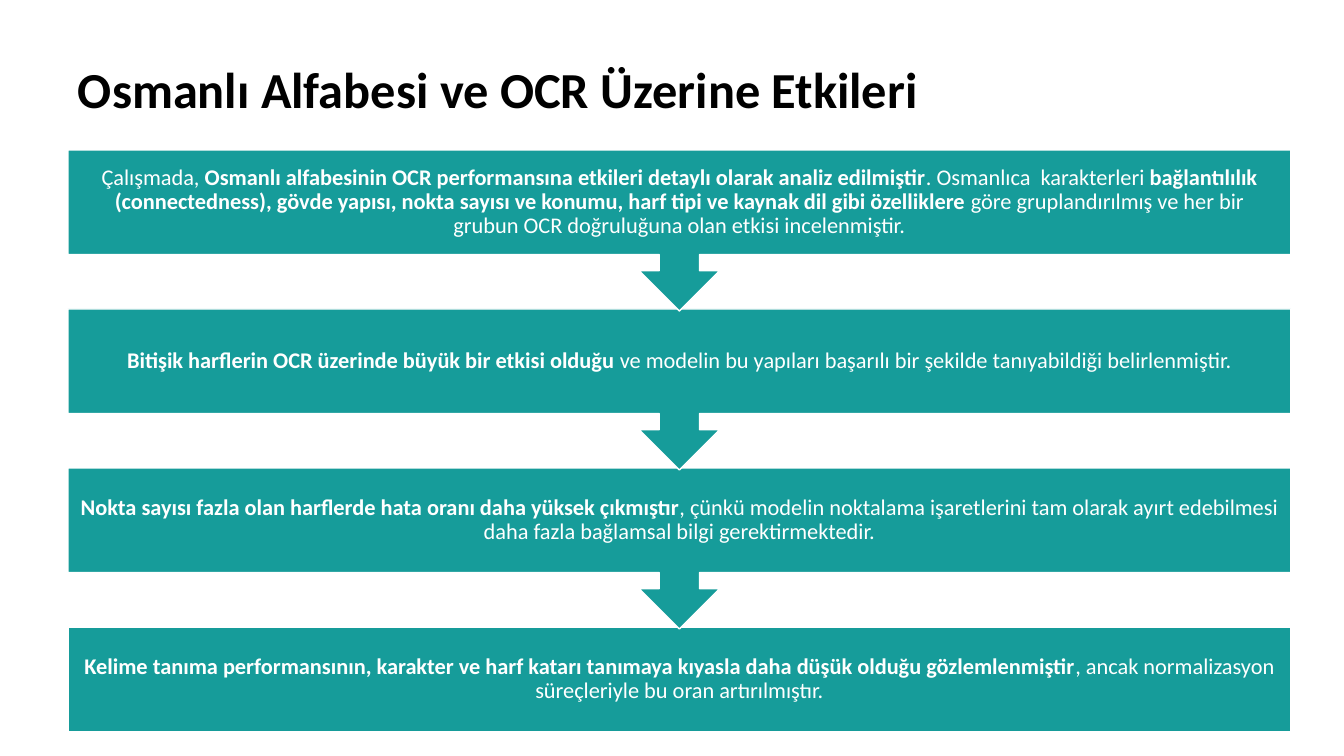
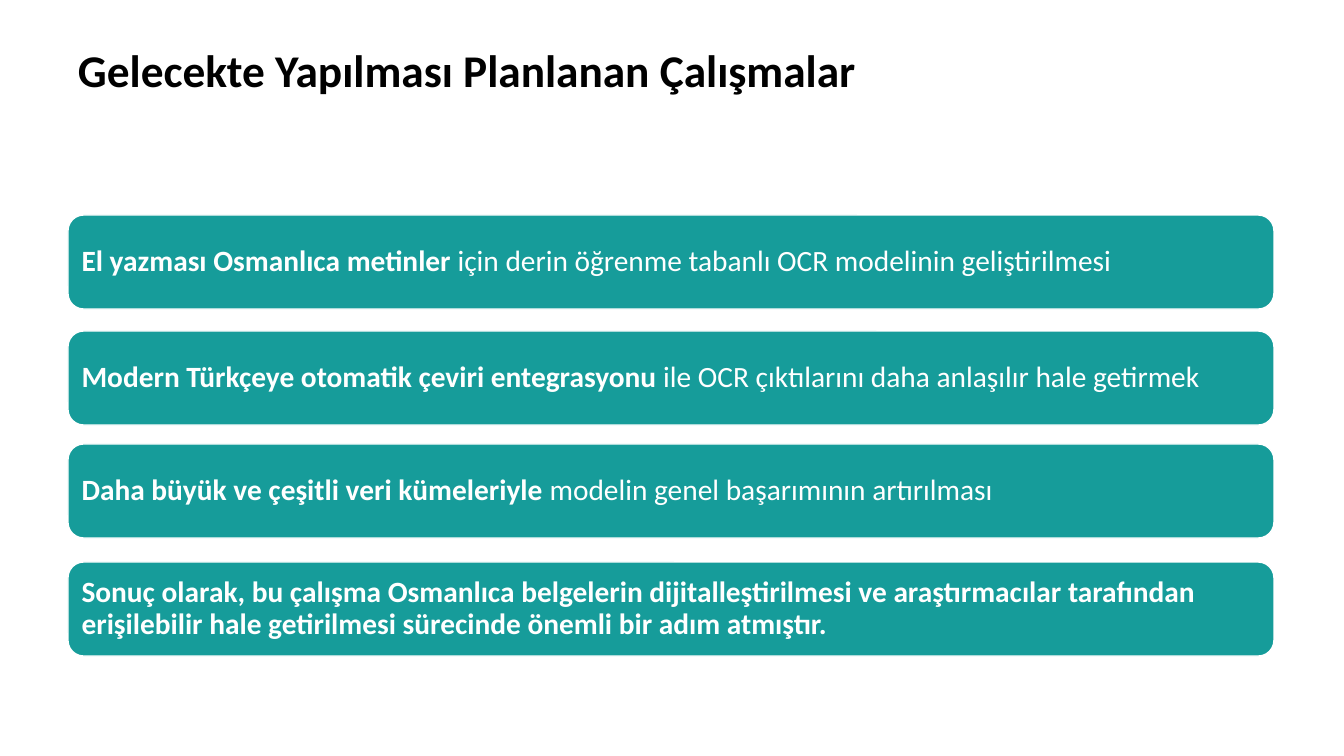
from dataclasses import dataclass
from typing import Any, NamedTuple

from pptx import Presentation
from pptx.dml.color import RGBColor
from pptx.enum.shapes import MSO_SHAPE
from pptx.enum.text import MSO_ANCHOR, PP_ALIGN
from pptx.slide import Slide
from pptx.text.text import TextFrame
from pptx.util import Emu, Pt

SCALE = 914400 / 100.8
TEAL = RGBColor(0x16, 0x9C, 0x9A)
WHITE = RGBColor(0xFF, 0xFF, 0xFF)
BLACK = RGBColor(0x00, 0x00, 0x00)
FACE = "Calibri"
LEFT = 68


class Run(NamedTuple):
    text: str
    bold: bool = False


@dataclass(frozen=True)
class Style:
    size: float
    color: RGBColor
    align: PP_ALIGN
    anchor: MSO_ANCHOR
    pad_x: int
    pad_y: int


@dataclass(frozen=True)
class Card:
    kind: MSO_SHAPE
    top: int
    width: int
    height: int
    style: Style
    runs: list[Run]


STEP = Style(16, WHITE, PP_ALIGN.CENTER, MSO_ANCHOR.MIDDLE, 12, 12)
PLAN = Style(21, WHITE, PP_ALIGN.LEFT, MSO_ANCHOR.MIDDLE, 9, 9)

STEPS = [
    [
        Run("Çalışmada, "),
        Run("Osmanlı alfabesinin OCR performansına etkileri detaylı olarak "
            "analiz edilmiştir", True),
        Run(". Osmanlıca  karakterleri "),
        Run("bağlantılılık (connectedness), gövde yapısı, nokta sayısı ve konumu, "
            "harf tipi ve kaynak dil gibi özelliklere", True),
        Run(" göre gruplandırılmış ve her bir grubun OCR doğruluğuna olan etkisi "
            "incelenmiştir."),
    ],
    [
        Run("Bitişik harflerin OCR üzerinde büyük bir etkisi olduğu", True),
        Run(" ve modelin bu yapıları başarılı bir şekilde tanıyabildiği "
            "belirlenmiştir."),
    ],
    [
        Run("Nokta sayısı fazla olan harflerde hata oranı daha yüksek çıkmıştır", True),
        Run(", çünkü modelin noktalama işaretlerini tam olarak ayırt edebilmesi "
            "daha fazla bağlamsal bilgi gerektirmektedir."),
    ],
    [
        Run("Kelime tanıma performansının, karakter ve harf katarı tanımaya kıyasla "
            "daha düşük olduğu gözlemlenmiştir", True),
        Run(", ancak normalizasyon süreçleriyle bu oran artırılmıştır."),
    ],
]

PLANS = {
    215: [
        Run("El yazması Osmanlıca metinler", True),
        Run(" için derin öğrenme tabanlı OCR modelinin geliştirilmesi"),
    ],
    331: [
        Run("Modern Türkçeye otomatik çeviri entegrasyonu", True),
        Run(" ile OCR çıktılarını daha anlaşılır hale getirmek"),
    ],
    444: [
        Run("Daha büyük ve çeşitli veri kümeleriyle", True),
        Run(" modelin genel başarımının artırılması"),
    ],
    562: [
        Run("Sonuç olarak, bu çalışma Osmanlıca belgelerin dijitalleştirilmesi ve "
            "araştırmacılar tarafından erişilebilir hale getirilmesi sürecinde "
            "önemli bir adım atmıştır.", True),
    ],
}


def px(count: int) -> Emu:
    return Emu(round(count * SCALE))


def apply(target: Any, values: dict[str, Any]) -> None:
    """Set each named attribute on the target."""
    for name, value in values.items():
        setattr(target, name, value)


def write(frame: TextFrame, style: Style, runs: list[Run]) -> None:
    apply(frame, {
        "word_wrap": True,
        "vertical_anchor": style.anchor,
        "margin_left": px(style.pad_x),
        "margin_right": px(style.pad_x),
        "margin_top": px(style.pad_y),
        "margin_bottom": px(style.pad_y),
    })
    para = frame.paragraphs[0]
    apply(para, {"alignment": style.align, "line_spacing": 0.9})
    for text, bold in runs:
        run = para.add_run()
        run.text = text
        apply(run.font, {"name": FACE, "size": Pt(style.size), "bold": bold})
        run.font.color.rgb = style.color


def add_title(slide: Slide, text: str, top: int, height: int, size: float) -> None:
    box = slide.shapes.add_textbox(px(LEFT), px(top), px(1174), px(height))
    style = Style(size, BLACK, PP_ALIGN.LEFT, MSO_ANCHOR.TOP, 10, 5)
    write(box.text_frame, style, [Run(text, True)])


def add_card(slide: Slide, card: Card) -> None:
    shape = slide.shapes.add_shape(
        card.kind, px(LEFT), px(card.top), px(card.width), px(card.height))
    shape.shadow.inherit = False
    shape.fill.solid()
    shape.fill.fore_color.rgb = TEAL
    shape.line.color.rgb = WHITE
    shape.line.width = Pt(1)
    write(shape.text_frame, card.style, card.runs)


def add_steps(slide: Slide) -> None:
    """Stack the steps from the bottom up, so each arrow tip overlaps the next."""
    last = len(STEPS) - 1
    for row in range(last, -1, -1):
        if row == last:
            kind, height = MSO_SHAPE.RECTANGLE, 105
        else:
            kind, height = MSO_SHAPE.DOWN_ARROW_CALLOUT, 161
        add_card(slide, Card(kind, 150 + 159 * row, 1223, height, STEP, STEPS[row]))


def add_plans(slide: Slide) -> None:
    for top, runs in PLANS.items():
        add_card(slide, Card(MSO_SHAPE.ROUNDED_RECTANGLE, top, 1206, 94, PLAN, runs))


def main() -> None:
    deck = Presentation()
    apply(deck, {"slide_width": px(1344), "slide_height": px(756)})
    blank = deck.slide_layouts[6]

    effects = deck.slides.add_slide(blank)
    add_title(effects, "Osmanlı Alfabesi ve OCR Üzerine Etkileri", 60, 125, 36)
    add_steps(effects)

    future = deck.slides.add_slide(blank)
    add_title(future, "Gelecekte Yapılması Planlanan Çalışmalar", 43, 108, 32.4)
    add_plans(future)

    deck.save("out.pptx")


if __name__ == "__main__":
    main()
